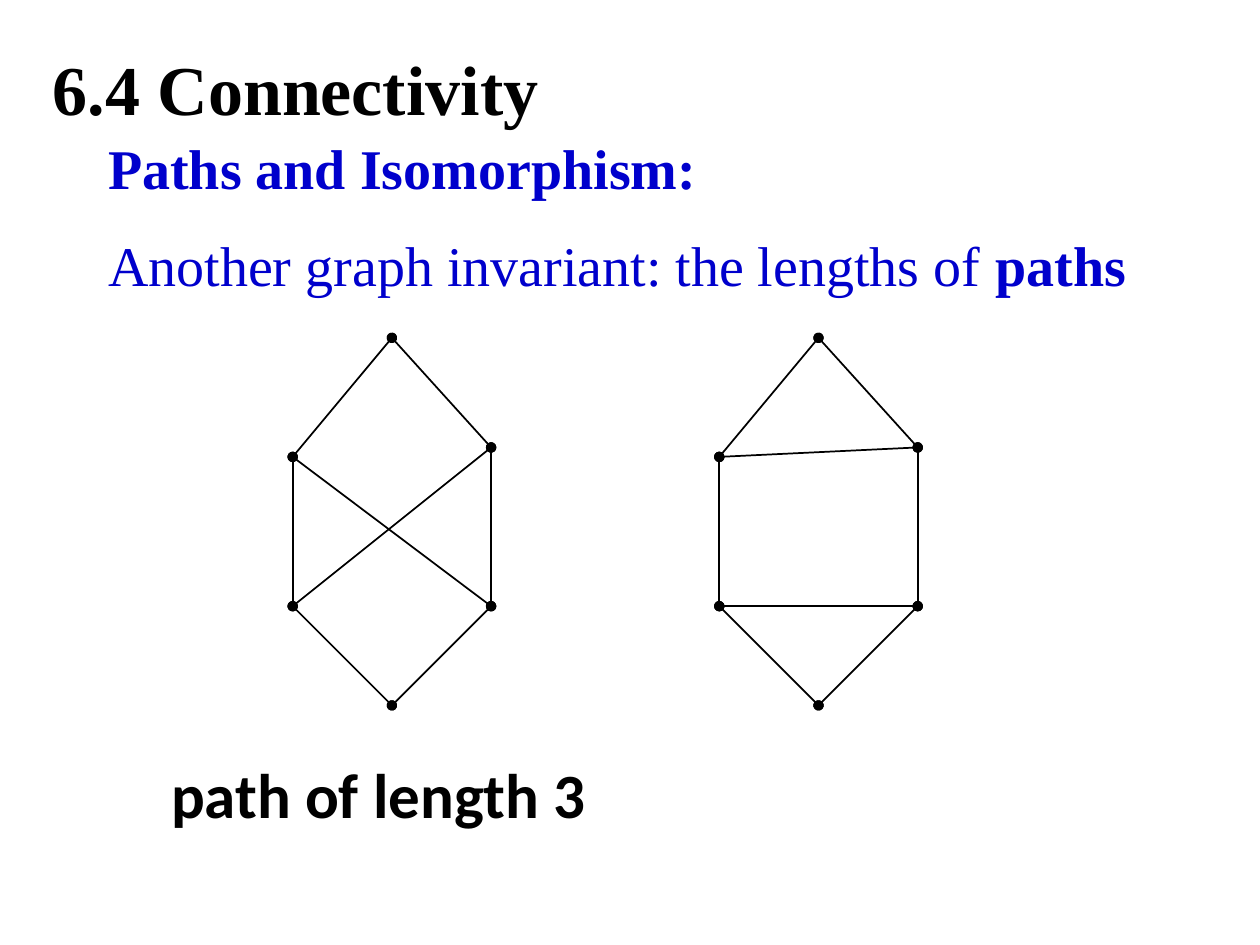
import pptx
import pptx.util
import pptx.dml.color
import pptx.enum.shapes
import pptx.enum.text
import pptx.oxml.ns
import lxml.etree

Cm, Pt = pptx.util.Cm, pptx.util.Pt
SERIF = "Times New Roman"
BLACK, BLUE = "000000", "0000CC"

# Vertices of the left graph, in cm; the right graph is shifted
NODES = {
    "top": (7.9, 6.81),
    "upper left": (5.9, 9.21),
    "upper right": (9.9, 9.02),
    "lower left": (5.9, 12.22),
    "lower right": (9.9, 12.22),
    "base": (7.9, 14.22),
}
SHIFT = 8.6
# Edges that both graphs have
SHARED = [
    ("top", "upper left"),
    ("top", "upper right"),
    ("upper left", "lower left"),
    ("upper right", "lower right"),
    ("base", "lower left"),
    ("lower right", "base"),
]
CROSSED = [("lower right", "upper left"), ("upper right", "lower left")]
LEVEL = [("upper right", "upper left"), ("lower right", "lower left")]


def color(code):
    return pptx.dml.color.RGBColor.from_string(code)


def style(run, size, font, code, bold=True):
    run.font.size = Pt(size)
    run.font.name = font
    run.font.bold = bold
    run.font.color.rgb = color(code)


def place(shape, left, top, width, height):
    shape.left, shape.top = Cm(left), Cm(top)
    shape.width, shape.height = Cm(width), Cm(height)


def add_title(slide, text):
    title = slide.shapes.title
    place(title, 0.81, 0.86, 23.19, 1.88)
    frame = title.text_frame
    frame.text = text
    frame.auto_size = pptx.enum.text.MSO_AUTO_SIZE.NONE
    frame.vertical_anchor = pptx.enum.text.MSO_ANCHOR.BOTTOM
    para = frame.paragraphs[0]
    para.alignment = pptx.enum.text.PP_ALIGN.LEFT
    style(para.runs[0], 40, SERIF, BLACK)


def add_box(slide, left, top, width, height, text):
    box = slide.shapes.add_textbox(Cm(left), Cm(top), Cm(width), Cm(height))
    frame = box.text_frame
    frame.word_wrap = True
    frame.text = text
    return frame


def add_body(slide):
    frame = add_box(slide, 1.93, 2.72, 22.07, 3.58, "Paths and Isomorphism:")
    head = frame.paragraphs[0]
    style(head.runs[0], 32, SERIF, BLUE)
    line = frame.add_paragraph()
    line.text = "Another graph invariant: the lengths of "
    style(line.runs[0], 32, SERIF, BLUE, bold=False)
    last = line.add_run()
    last.text = "paths"
    style(last, 32, SERIF, BLUE)
    for para in frame.paragraphs:
        para.line_spacing = 0.9
        para.space_after = Pt(10.5)
    line.space_before = Pt(10.5)


def add_edge(group, start, end):
    kind = pptx.enum.shapes.MSO_CONNECTOR.STRAIGHT
    edge = group.shapes.add_connector(kind, *map(Cm, start + end))
    edge.line.width = Pt(1)
    edge.line.color.rgb = color(BLACK)
    # Round dots at both ends, no shadow
    name = pptx.oxml.ns.qn
    props = edge.line.color.rgb is not None and edge.line._get_or_add_ln()
    for tag in ("a:headEnd", "a:tailEnd"):
        lxml.etree.SubElement(props, name(tag), type="oval")
    lxml.etree.SubElement(props.getparent(), name("a:effectLst"))


def add_graph(slide, shift, edges):
    group = slide.shapes.add_group_shape()
    spots = {key: (x + shift, y) for key, (x, y) in NODES.items()}
    for start, end in edges:
        add_edge(group, spots[start], spots[end])


def main():
    deck = pptx.Presentation()
    deck.slide_width, deck.slide_height = Cm(25.4), Cm(19.05)
    slide = deck.slides.add_slide(deck.slide_layouts[5])

    # Heading and text
    add_title(slide, "6.4 Connectivity")
    add_body(slide)

    # The two graphs
    add_graph(slide, 0, SHARED + CROSSED)
    add_graph(slide, SHIFT, SHARED + LEVEL)

    # Caption
    note = add_box(slide, 3.2, 15.11, 14.02, 1.8, "path of length 3")
    style(note.paragraphs[0].runs[0], 36, "Calibri", BLACK)

    deck.save("out.pptx")


if __name__ == "__main__":
    main()
